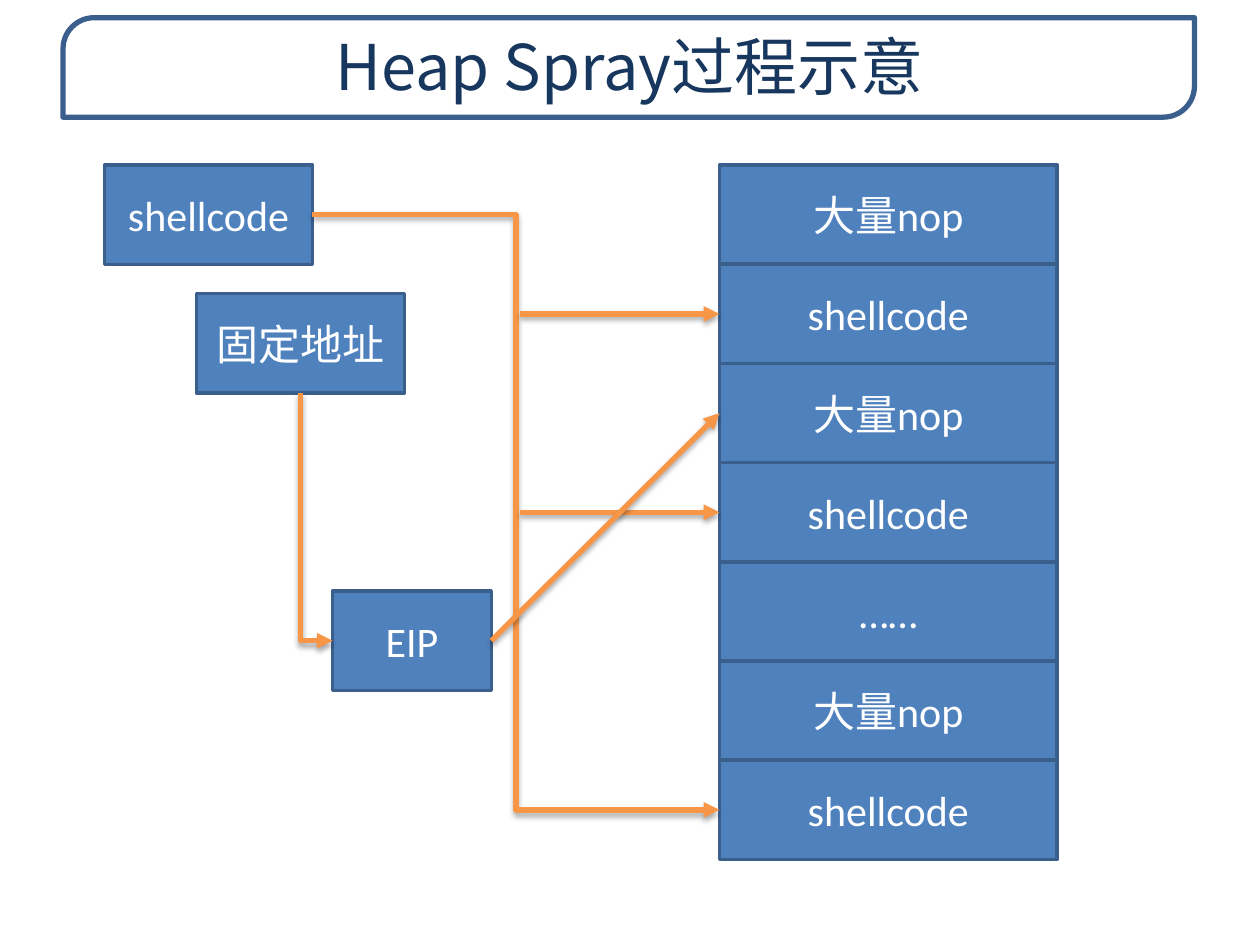
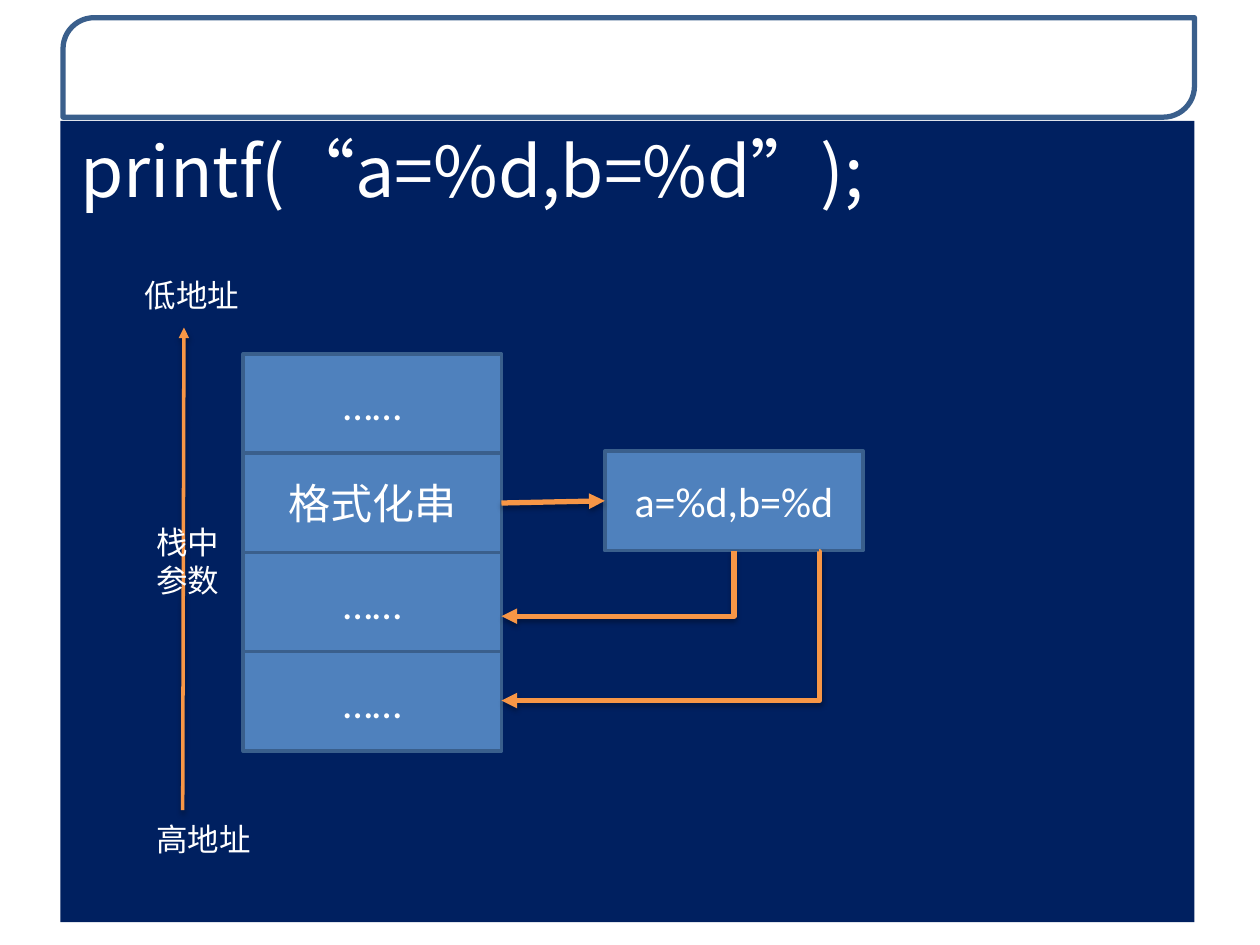
from dataclasses import dataclass

import lxml.etree
import pptx
import pptx.dml.color
import pptx.enum.shapes
import pptx.enum.text
import pptx.oxml
import pptx.oxml.ns
import pptx.util

Inches = pptx.util.Inches
Pt = pptx.util.Pt
MSO_SHAPE = pptx.enum.shapes.MSO_SHAPE
MSO_CONNECTOR = pptx.enum.shapes.MSO_CONNECTOR
PP_ALIGN = pptx.enum.text.PP_ALIGN
MSO_ANCHOR = pptx.enum.text.MSO_ANCHOR
qn = pptx.oxml.ns.qn

COLORS = {
    "white": "FFFFFF",
    "title": "17375E",
    "panel": "002060",
    "box": "4F81BD",
    "outline": "3A5F8C",
    "arrow": "F79646",
}
CJK_FONT = "Noto Sans CJK SC"
BOX_HEIGHT = 0.79
STACK_PITCH = 5.51 / 7
TOP, LEFT, BOTTOM, RIGHT = range(4)
SHADOW = (
    f'<a:effectLst {pptx.oxml.ns.nsdecls("a")}>'
    f'<a:outerShdw blurRad="{Pt(3.1)}" dist="{Pt(1.8)}" dir="5400000" rotWithShape="0">'
    '<a:srgbClr val="000000"><a:alpha val="35000"/></a:srgbClr>'
    "</a:outerShdw></a:effectLst>"
)


@dataclass
class Box:
    text: str
    left: float
    top: float
    width: float


@dataclass
class Label:
    lines: tuple[str, ...]
    left: float
    top: float
    width: float
    height: float


@dataclass
class End:
    """A connector end: a side of a shape, or a free point."""
    shape: object = None
    side: int = RIGHT
    x: float = 0
    y: float = 0


def rgb(name: str) -> pptx.dml.color.RGBColor:
    return pptx.dml.color.RGBColor.from_string(COLORS[name])


def style_paragraph(paragraph, size: float, font_name: str, color: str, align) -> None:
    paragraph.alignment = align
    font = paragraph.font
    font.size = Pt(size)
    font.name = font_name
    font.color.rgb = rgb(color)
    if font_name == CJK_FONT:
        properties = paragraph._p.pPr.find(qn("a:defRPr"))
        lxml.etree.SubElement(properties, qn("a:ea")).set("typeface", font_name)


def add_filled_shape(slide, kind, bounds: tuple, fill: str, line_width: float = 0):
    shape = slide.shapes.add_shape(kind, *map(Inches, bounds))
    shape.shadow.inherit = False
    shape.fill.solid()
    shape.fill.fore_color.rgb = rgb(fill)
    if line_width:
        shape.line.color.rgb = rgb("outline")
        shape.line.width = Pt(line_width)
    else:
        shape.line.fill.background()
    return shape


def add_title_band(slide, title: str = "") -> None:
    band = add_filled_shape(slide, MSO_SHAPE.ROUND_2_DIAG_RECTANGLE,
                            (0.5, 0.14, 8.98, 0.79), "white", 3)
    band.adjustments[0] = 0.313
    band.adjustments[1] = 0
    color = band._element.spPr.find(qn("a:solidFill"))[0]
    lxml.etree.SubElement(color, qn("a:alpha")).set("val", "85000")
    if title:
        text_box = slide.shapes.add_textbox(*map(Inches, (0.51, 0.14, 8.97, 0.76)))
        frame = text_box.text_frame
        frame.word_wrap = True
        frame.vertical_anchor = MSO_ANCHOR.MIDDLE
        frame.text = title
        style_paragraph(frame.paragraphs[0], 36, CJK_FONT, "title", PP_ALIGN.CENTER)


def add_code_panel(slide, code: str) -> None:
    panel = add_filled_shape(slide, MSO_SHAPE.RECTANGLE, (0.48, 0.96, 9, 6.36), "panel")
    frame = panel.text_frame
    frame.word_wrap = True
    frame.vertical_anchor = MSO_ANCHOR.TOP
    frame.margin_left = frame.margin_right = Inches(0.16)
    frame.text = code
    paragraph = frame.paragraphs[0]
    style_paragraph(paragraph, 40, CJK_FONT, "white", PP_ALIGN.JUSTIFY)
    paragraph._p.pPr.set("marL", str(Inches(0.38)))
    paragraph._p.pPr.set("indent", str(Inches(-0.38)))


def add_box(slide, box: Box):
    shape = add_filled_shape(slide, MSO_SHAPE.RECTANGLE,
                             (box.left, box.top, box.width, BOX_HEIGHT), "box", 2)
    frame = shape.text_frame
    frame.word_wrap = True
    frame.vertical_anchor = MSO_ANCHOR.MIDDLE
    frame.text = box.text
    style_paragraph(frame.paragraphs[0], 24, "Calibri", "white", PP_ALIGN.CENTER)
    return shape


def add_stack(slide, texts: list[str], left: float, top: float, width: float) -> list:
    return [add_box(slide, Box(text, left, top + row * STACK_PITCH, width))
            for row, text in enumerate(texts)]


def add_label(slide, label: Label) -> None:
    text_box = slide.shapes.add_textbox(
        *map(Inches, (label.left, label.top, label.width, label.height)))
    frame = text_box.text_frame
    frame.word_wrap = True
    frame.margin_right = 0
    frame.text = "\n".join(label.lines)
    for paragraph in frame.paragraphs:
        style_paragraph(paragraph, 18, "Arial", "white", PP_ALIGN.LEFT)


def add_arrow(slide, begin: End, end: End, kind=MSO_CONNECTOR.STRAIGHT, width: float = 3):
    connector = slide.shapes.add_connector(
        kind, *map(Inches, (begin.x, begin.y, end.x, end.y)))
    if begin.shape is not None:
        connector.begin_connect(begin.shape, begin.side)
    if end.shape is not None:
        connector.end_connect(end.shape, end.side)
    connector.line.color.rgb = rgb("arrow")
    connector.line.width = Pt(width)
    outline = connector.line._get_or_add_ln()
    lxml.etree.SubElement(outline, qn("a:tailEnd")).set("type", "triangle")
    connector._element.spPr.append(pptx.oxml.parse_xml(SHADOW))
    return connector


def add_corner_arrow(slide, begin: End, end: End) -> None:
    """Draw an arrow that runs down first and then turns sideways once."""
    connector = add_arrow(slide, begin, end, MSO_CONNECTOR.ELBOW)
    across = connector.end_x - connector.begin_x
    down = connector.end_y - connector.begin_y
    center_x = (connector.begin_x + connector.end_x) // 2
    center_y = (connector.begin_y + connector.end_y) // 2
    connector.width, connector.height = down, abs(across)
    connector.left = center_x - down // 2
    connector.top = center_y - abs(across) // 2
    properties = connector._element.spPr
    properties.find(qn("a:prstGeom")).set("prst", "bentConnector2")
    transform = properties.find(qn("a:xfrm"))
    transform.set("rot", str((270 if across > 0 else 90) * 60000))
    transform.set("flipH", "1" if across > 0 else "0")


def set_bend(connector, share: float) -> None:
    """Place the middle leg of an elbow at a share of its width."""
    geometry = connector._element.spPr.find(qn("a:prstGeom"))
    guides = geometry.find(qn("a:avLst"))
    if guides is None:
        guides = lxml.etree.SubElement(geometry, qn("a:avLst"))
    guide = lxml.etree.SubElement(guides, qn("a:gd"))
    guide.set("name", "adj1")
    guide.set("fmla", f"val {round(share * 100000)}")


def build_heap_spray(slide) -> None:
    add_title_band(slide, "Heap Spray过程示意")
    shellcode = add_box(slide, Box("shellcode", 0.83, 1.31, 1.65))
    address = add_box(slide, Box("固定地址", 1.56, 2.33, 1.65))
    eip = add_box(slide, Box("EIP", 2.64, 4.69, 1.26))
    block = ["大量nop", "shellcode"]
    heap = add_stack(slide, block * 2 + ["……"] + block, 5.71, 1.31, 2.68)

    add_arrow(slide, End(shellcode, RIGHT), End(heap[6], LEFT), MSO_CONNECTOR.ELBOW)
    for cell in (heap[3], heap[1]):
        middle = (cell.top + cell.height / 2) / Inches(1)
        add_arrow(slide, End(x=4.13, y=middle), End(cell, LEFT))
    add_corner_arrow(slide, End(address, BOTTOM), End(eip, LEFT))
    add_arrow(slide, End(eip, RIGHT), End(heap[2], LEFT))


def build_format_string(slide) -> None:
    add_title_band(slide)
    add_code_panel(slide, "printf(“a=%d,b=%d”);")
    stack = add_stack(slide, ["……", "格式化串", "……", "……"], 1.93, 2.81, 2.05)
    add_arrow(slide, End(x=1.45, y=6.43), End(x=1.46, y=2.6), width=2)
    for label in (
        Label(("低地址",), 1.05, 2.14, 0.95, 0.4),
        Label(("高地址",), 1.14, 6.46, 0.95, 0.4),
        Label(("栈中", "参数"), 1.14, 4.1, 0.72, 0.71),
    ):
        add_label(slide, label)
    format_text = add_box(slide, Box("a=%d,b=%d", 4.8, 3.58, 2.05))
    add_arrow(slide, End(stack[1], RIGHT), End(format_text, LEFT))
    add_corner_arrow(slide, End(format_text, BOTTOM), End(x=3.98, y=4.89))
    second_value = add_arrow(slide, End(x=6.5, y=4.38), End(x=3.98, y=5.56),
                             MSO_CONNECTOR.ELBOW)
    set_bend(second_value, -0.002)


def main() -> None:
    presentation = pptx.Presentation()
    presentation.slide_width = Inches(10)
    presentation.slide_height = Inches(7.5)
    blank_layout = presentation.slide_layouts[6]
    for build in (build_heap_spray, build_format_string):
        build(presentation.slides.add_slide(blank_layout))
    presentation.save("out.pptx")


if __name__ == "__main__":
    main()
